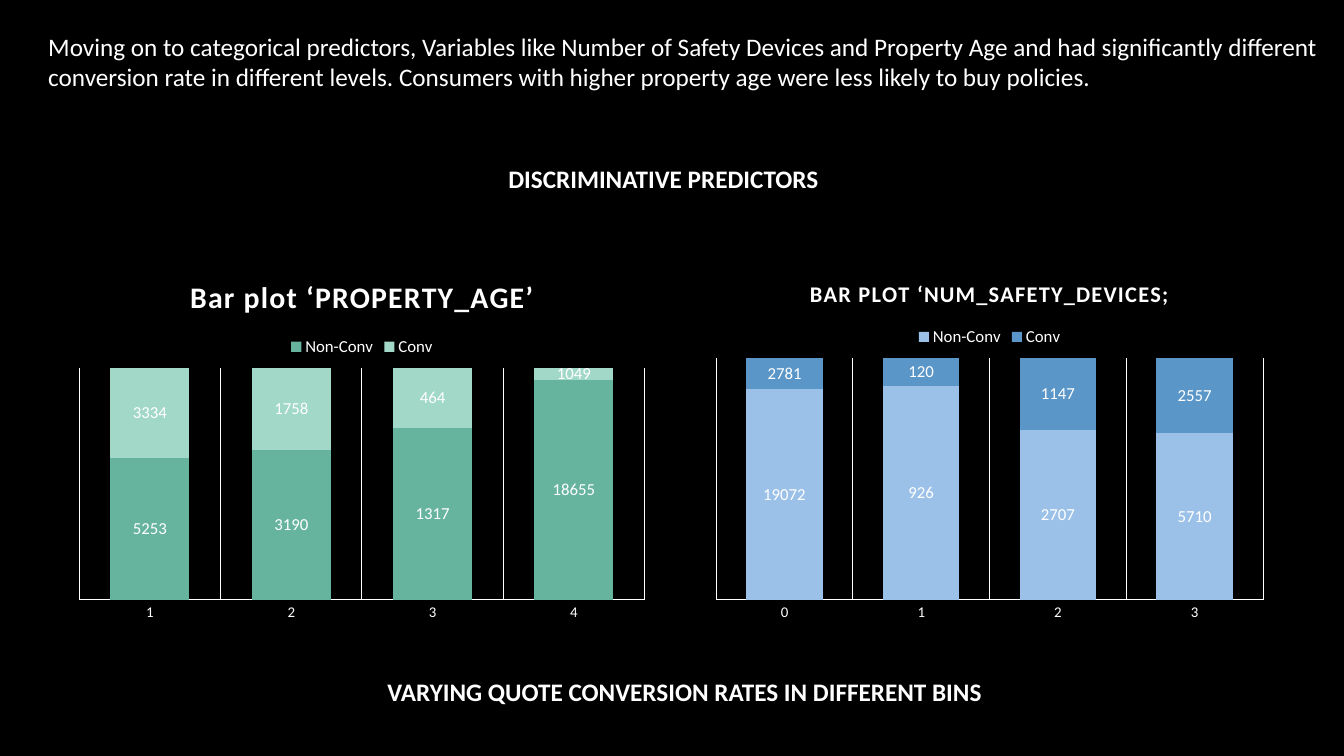
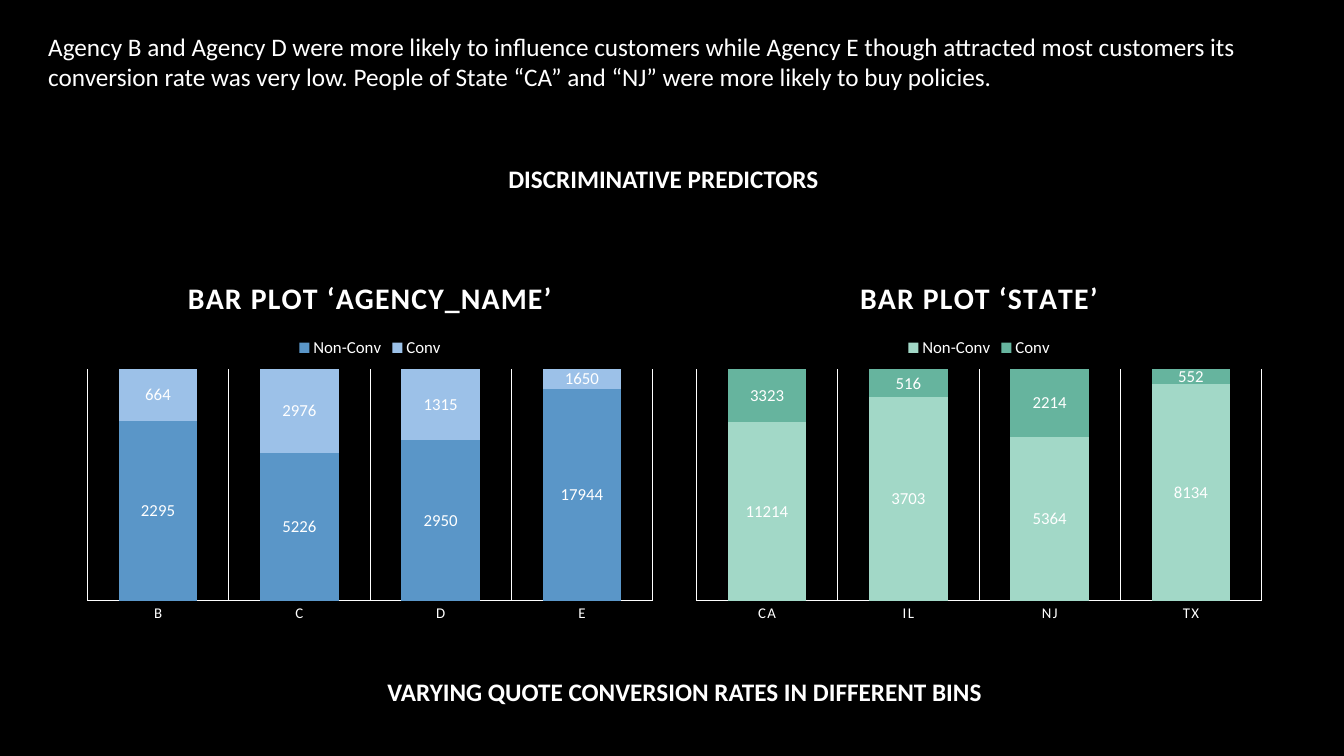
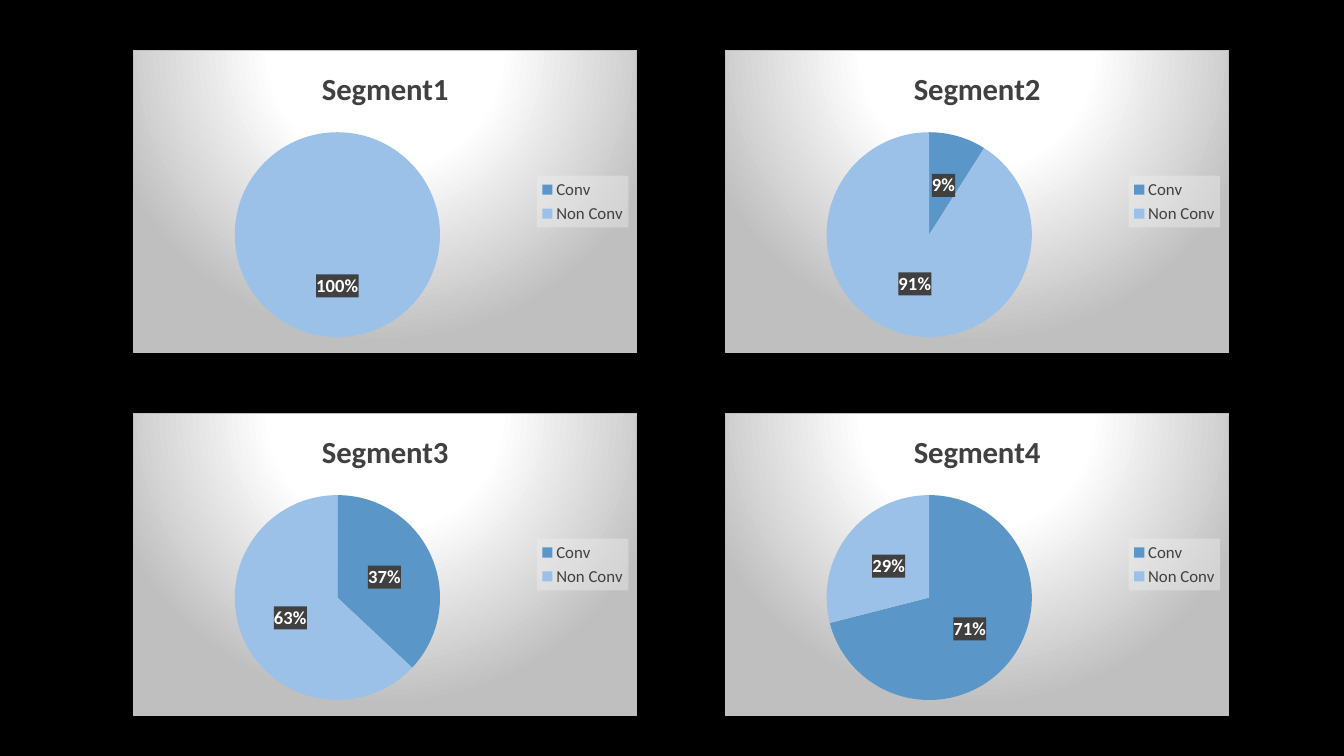
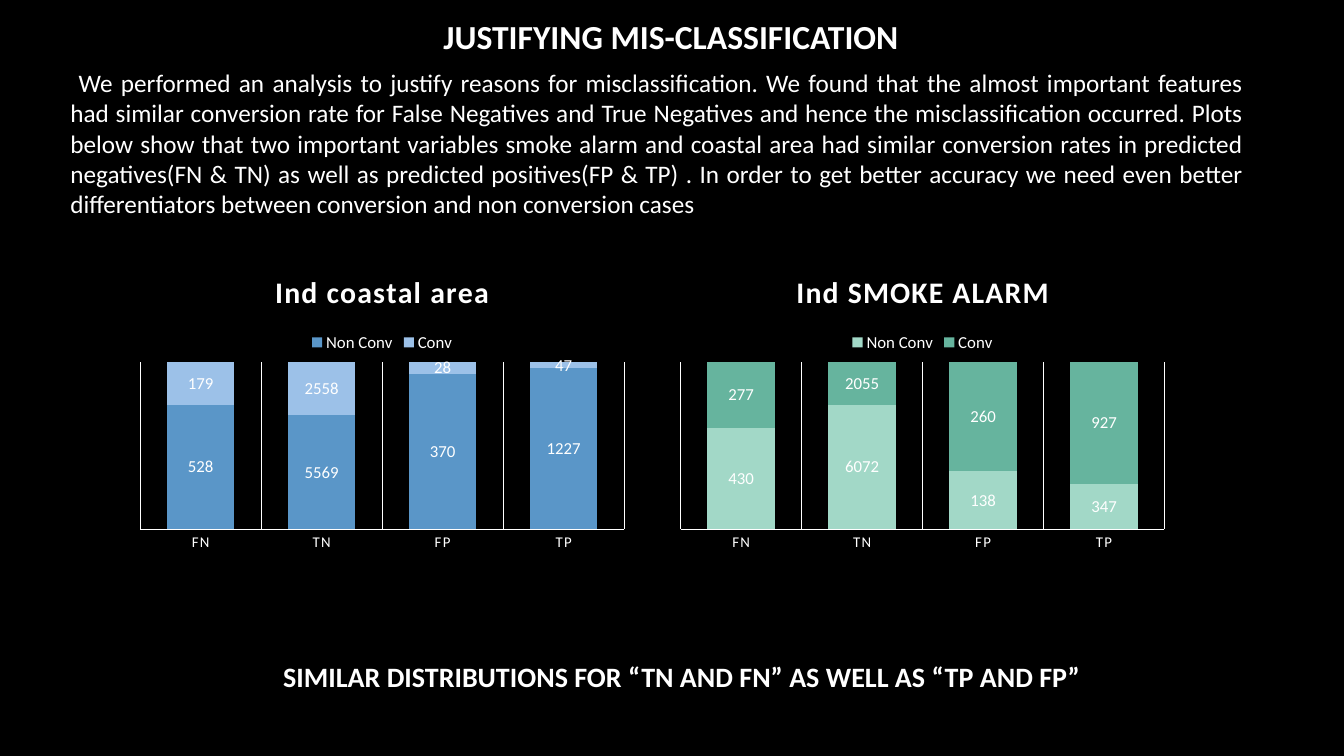
import lxml.etree
import pptx
import pptx.chart.data
import pptx.dml.color
import pptx.enum.chart
import pptx.enum.text
import pptx.oxml.ns
import pptx.util

Inches = pptx.util.Inches
Pt = pptx.util.Pt
qn = pptx.oxml.ns.qn
ALIGN = pptx.enum.text.PP_ALIGN

COLORS = {
    "background": "000000",
    "text": "FFFFFF",
    "dark": "404040",
    "silver": "BFBFBF",
    "mist": "F2F2F2",
    "blue": "5A96C8",
    "sky": "9CC1E8",
    "green": "66B49E",
    "mint": "A2D8C7",
}
FONT = "Calibri"
TITLE_ONLY, BLANK = 5, 6
DRAWING = "http://schemas.openxmlformats.org/drawingml/2006/main"
CHART = "http://schemas.openxmlformats.org/drawingml/2006/chart"


def rgb(name):
    return pptx.dml.color.RGBColor.from_string(COLORS[name])


def solid(name, alpha):
    return (f'<a:solidFill><a:srgbClr val="{COLORS[name]}">'
            f'<a:alpha val="{alpha * 1000}"/></a:srgbClr></a:solidFill>')


def spotlight():
    """Radial gradient with a thin border, for chart backgrounds."""
    stops = "".join(
        f'<a:gs pos="{position * 1000}"><a:srgbClr val="{COLORS[name]}"/></a:gs>'
        for position, name in ((0, "text"), (39, "text"), (100, "silver")))
    return (f'<a:gradFill><a:gsLst>{stops}</a:gsLst><a:path path="circle">'
            '<a:fillToRect l="50000" t="-80000" r="50000" b="180000"/>'
            '</a:path></a:gradFill><a:ln w="9525"><a:solidFill>'
            f'<a:srgbClr val="{COLORS["silver"]}"/></a:solidFill></a:ln>')


def add_chart_fill(parent, fill):
    """Give a chart part a fill; its text properties must exist already."""
    properties = lxml.etree.fromstring(
        f'<c:spPr xmlns:c="{CHART}" xmlns:a="{DRAWING}">{fill}</c:spPr>')
    parent.find(qn("c:txPr")).addprevious(properties)


class Deck:
    def __init__(self):
        self.presentation = pptx.Presentation()
        self.presentation.slide_width = Inches(13.33)
        self.presentation.slide_height = Inches(7.5)
        fill = self.presentation.slide_master.background.fill
        fill.solid()
        fill.fore_color.rgb = rgb("background")
        self.slide = None

    def new_slide(self, layout=TITLE_ONLY):
        layouts = self.presentation.slide_layouts
        self.slide = self.presentation.slides.add_slide(layouts[layout])

    def style(self, font, size, color="text", bold=False):
        font.name = FONT
        font.size = Pt(size)
        font.bold = bold
        font.color.rgb = rgb(color)

    def fill_text(self, shape, text, size, bold, align):
        frame = shape.text_frame
        frame.word_wrap = True
        frame.auto_size = pptx.enum.text.MSO_AUTO_SIZE.SHAPE_TO_FIT_TEXT
        frame.vertical_anchor = pptx.enum.text.MSO_ANCHOR.TOP
        frame.text = text
        paragraph = frame.paragraphs[0]
        paragraph.alignment = align
        self.style(paragraph.font, size, bold=bold)

    def title(self, text, box, size=18):
        shape = self.slide.shapes.title
        shape.left, shape.top, shape.width, shape.height = map(Inches, box)
        self.fill_text(shape, text, size, True, ALIGN.CENTER)

    def text(self, text, box, size=18, bold=False, align=ALIGN.LEFT):
        shape = self.slide.shapes.add_textbox(*map(Inches, box))
        self.fill_text(shape, text, size, bold, align)

    def chart(self, kind, box, title, title_size, categories, series, color, legend_position):
        """Add a chart with the title, legend and fonts that all charts share."""
        data = pptx.chart.data.CategoryChartData()
        data.categories = categories
        for name, values in series:
            data.add_series(name, values)
        chart = self.slide.shapes.add_chart(kind, *map(Inches, box), data).chart
        self.style(chart.font, 10)
        chart.has_title = True
        chart.chart_title.include_in_layout = False
        chart.chart_title.text_frame.text = title
        self.style(chart.chart_title.text_frame.paragraphs[0].font, title_size, color, True)
        chart.has_legend = True
        chart.legend.position = legend_position
        chart.legend.include_in_layout = False
        self.style(chart.legend.font, 12, color)
        return chart

    def labels(self, series, size, bold=False):
        labels = series.data_labels
        labels.position = pptx.enum.chart.XL_LABEL_POSITION.CENTER
        self.style(labels.font, size, bold=bold)
        return labels

    def bar_chart(self, box, title, categories, series, colors, title_size=21.3):
        chart = self.chart(
            pptx.enum.chart.XL_CHART_TYPE.COLUMN_STACKED_100, box, title, title_size,
            categories, series, "text", pptx.enum.chart.XL_LEGEND_POSITION.TOP)
        plot = chart.plots[0]
        plot.gap_width = 79
        plot.overlap = 100
        plot.vary_by_categories = False
        for bars, color in zip(plot.series, colors):
            bars.format.fill.solid()
            bars.format.fill.fore_color.rgb = rgb(color)
            self.labels(bars, 12).show_value = True

        # Axes: only categories, parted by vertical gridlines
        chart.value_axis.has_major_gridlines = False
        chart.value_axis.visible = False
        axis = chart.category_axis
        axis.has_major_gridlines = True
        axis.major_tick_mark = pptx.enum.chart.XL_TICK_MARK.NONE
        self.style(axis.tick_labels.font, 10.6)
        for line in (axis.format.line, axis.major_gridlines.format.line):
            line.color.rgb = rgb("text")
            line.width = Pt(0.75)

        # Wider letter spacing in the title and the category labels
        for part in ("c:title", "c:catAx"):
            for element in chart.element.iter(qn(part)):
                for properties in element.iter(qn("a:defRPr")):
                    properties.set("spc", "100")

    def pie_chart(self, box, title, values):
        chart = self.chart(
            pptx.enum.chart.XL_CHART_TYPE.PIE, box, title, 22,
            ("Conv", "Non Conv"), [(title, values)], "dark",
            pptx.enum.chart.XL_LEGEND_POSITION.RIGHT)
        plot = chart.plots[0]
        plot.vary_by_categories = True
        pie = plot.series[0]
        for index, color in enumerate(("blue", "sky")):
            fill = pie.points[index].format.fill
            fill.solid()
            fill.fore_color.rgb = rgb(color)
        labels = self.labels(pie, 13.3, bold=True)
        labels.show_value = False
        labels.show_percentage = True
        labels.number_format = "0%"
        labels.number_format_is_linked = False

        # Fills of the chart, the legend and the labels
        root = chart.element
        add_chart_fill(root, spotlight())
        add_chart_fill(next(root.iter(qn("c:legend"))), solid("mist", 39))
        add_chart_fill(next(root.iter(qn("c:dLbls"))), solid("dark", 75))

        # Place of the pie, as shares of the chart
        area = next(root.iter(qn("c:plotArea")))
        for layout in area.findall(qn("c:layout")):
            area.remove(layout)
        settings = (("layoutTarget", "inner"), ("xMode", "edge"), ("yMode", "edge"),
                    ("x", 0.2), ("y", 0.27), ("w", 0.41), ("h", 0.68))
        content = "".join(f'<c:{name} val="{value}"/>' for name, value in settings)
        area.insert(0, lxml.etree.fromstring(
            f'<c:layout xmlns:c="{CHART}"><c:manualLayout>{content}'
            '</c:manualLayout></c:layout>'))

    def predictor_slide(self, summary):
        self.new_slide()
        self.title("DISCRIMINATIVE PREDICTORS", (4.61, 1.57, 3.94, 0.4))
        self.text("VARYING QUOTE CONVERSION RATES IN DIFFERENT BINS",
                  (3.25, 6.66, 7.08, 0.4), bold=True, align=ALIGN.CENTER)
        self.text(summary, (0.38, 0.26, 12.82, 0.71))


def main():
    deck = Deck()

    # Slide 1: safety devices and property age
    deck.predictor_slide(
        "Moving on to categorical predictors, Variables like Number of Safety Devices "
        "and Property Age and had significantly different conversion rate in different "
        "levels. Consumers with higher property age were less likely to buy policies.")
    deck.bar_chart(
        (6.99, 2.6, 5.65, 3.64), "BAR PLOT ‘NUM_SAFETY_DEVICES;", "0123",
        [("Non-Conv", (19072, 926, 2707, 5710)), ("Conv", (2781, 120, 1147, 2557))],
        ("sky", "blue"), title_size=16)
    deck.bar_chart(
        (0.67, 2.56, 5.84, 3.68), "Bar plot ‘PROPERTY_AGE’", "1234",
        [("Non-Conv", (5253, 3190, 1317, 18655)), ("Conv", (3334, 1758, 464, 1049))],
        ("green", "mint"))

    # Slide 2: agency and state
    deck.predictor_slide(
        "Agency B and Agency D were more likely to influence customers while Agency E "
        "though attracted most customers its conversion rate was very low. People of "
        "State “CA” and “NJ” were more likely to buy policies.")
    deck.bar_chart(
        (0.75, 2.57, 5.84, 3.68), "BAR PLOT ‘AGENCY_NAME’", "BCDE",
        [("Non-Conv", (2295, 5226, 2950, 17944)), ("Conv", (664, 2976, 1315, 1650))],
        ("blue", "sky"))
    deck.bar_chart(
        (6.79, 2.57, 5.84, 3.68), "BAR PLOT ‘STATE’", ("CA", "IL", "NJ", "TX"),
        [("Non-Conv", (11214, 3703, 5364, 8134)), ("Conv", (3323, 516, 2214, 552))],
        ("mint", "green"))

    # Slide 3: conversion share by segment, in a two by two grid
    deck.new_slide(BLANK)
    for index, converted in enumerate((0, 9, 37, 71)):
        row, column = divmod(index, 2)
        deck.pie_chart((1.32 + 5.87 * column, 0.5 + 3.6 * row, 5, 3),
                       f"Segment{index + 1}", (converted, 100 - converted))

    # Slide 4: misclassification
    deck.new_slide()
    deck.title("JUSTIFYING MIS-CLASSIFICATION", (0.24, 0.11, 12.83, 0.5), size=24)
    deck.text(
        " We performed an analysis to justify reasons for misclassification. We found "
        "that the almost important features had similar conversion rate for False "
        "Negatives and True Negatives and hence the misclassification occurred. Plots "
        "below show that two important variables smoke alarm and coastal area had "
        "similar conversion rates in predicted negatives(FN & TN) as well as predicted "
        "positives(FP & TP) . In order to get better accuracy we need even better "
        "differentiators between conversion and non conversion cases",
        (0.6, 0.62, 11.83, 1.92), align=ALIGN.JUSTIFY)
    deck.text("SIMILAR DISTRIBUTIONS FOR “TN AND FN” AS WELL AS “TP AND FP”",
              (0.35, 6.49, 12.83, 0.44), size=20, bold=True, align=ALIGN.CENTER)
    outcomes = ("FN", "TN", "FP", "TP")
    deck.bar_chart(
        (1.29, 2.53, 5, 3), "Ind coastal area", outcomes,
        [("Non Conv", (528, 5569, 370, 1227)), ("Conv", (179, 2558, 28, 47))],
        ("blue", "sky"))
    deck.bar_chart(
        (6.65, 2.53, 5, 3), "Ind SMOKE ALARM", outcomes,
        [("Non Conv", (430, 6072, 138, 347)), ("Conv", (277, 2055, 260, 927))],
        ("mint", "green"))

    deck.presentation.save("out.pptx")


if __name__ == "__main__":
    main()
